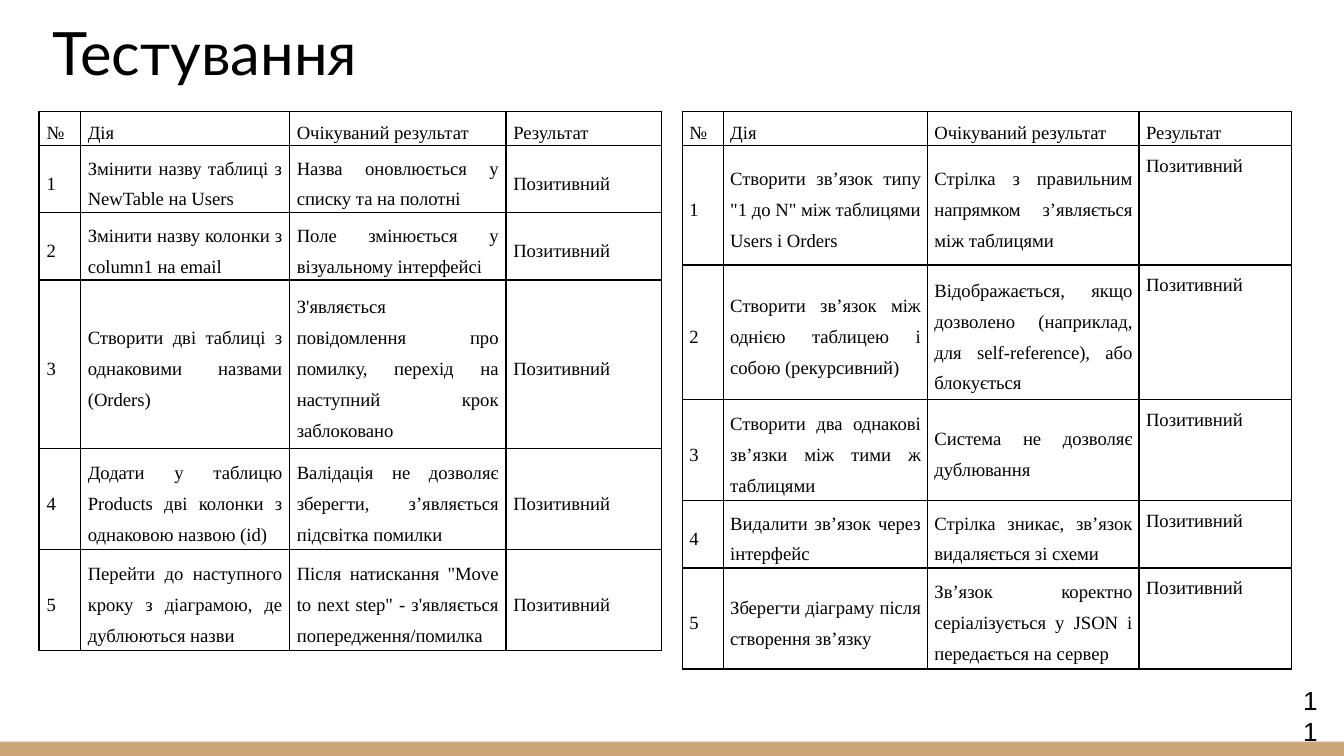
from lxml import etree
from pptx import Presentation
from pptx.dml.color import RGBColor
from pptx.enum.shapes import MSO_SHAPE
from pptx.enum.text import MSO_ANCHOR, PP_ALIGN
from pptx.oxml.ns import qn
from pptx.util import Cm, Pt

RECTANGLE = MSO_SHAPE.RECTANGLE
TOP, MIDDLE, BOTTOM = MSO_ANCHOR.TOP, MSO_ANCHOR.MIDDLE, MSO_ANCHOR.BOTTOM
LEFT, JUSTIFY = PP_ALIGN.LEFT, PP_ALIGN.JUSTIFY

COLOURS = {"page": "FFFFFF", "ink": "000000", "bar": "CCA677"}
HEADER = ["№", "Дія", "Очікуваний результат", "Результат"]
PASSED = "Позитивний"

EDITING_TESTS = [
    ("Змінити назву таблиці з NewTable на Users",
     "Назва оновлюється у списку та на полотні"),
    ("Змінити назву колонки з column1 на email",
     "Поле змінюється у візуальному інтерфейсі"),
    ("Створити дві таблиці з однаковими назвами (Orders)",
     "З'являється повідомлення про помилку, перехід на наступний крок заблоковано"),
    ("Додати у таблицю Products дві колонки з однаковою назвою (id)",
     "Валідація не дозволяє зберегти, з’являється підсвітка помилки"),
    ("Перейти до наступного кроку з діаграмою, де дублюються назви",
     "Після натискання \"Move to next step\" - з'являється попередження/помилка"),
]
RELATION_TESTS = [
    ("Створити зв’язок типу \"1 до N\" між таблицями Users і Orders",
     "Стрілка з правильним напрямком з’являється між таблицями"),
    ("Створити зв’язок між однією таблицею і собою (рекурсивний)",
     "Відображається, якщо дозволено (наприклад, для self-reference), або блокується"),
    ("Створити два однакові зв’язки між тими ж таблицями",
     "Система не дозволяє дублювання"),
    ("Видалити зв’язок через інтерфейс",
     "Стрілка зникає, зв’язок видаляється зі схеми"),
    ("Зберегти діаграму після створення зв’язку",
     "Зв’язок коректно серіалізується у JSON і передається на сервер"),
]


def colour(name):
    return RGBColor.from_string(COLOURS[name])


def write(frame, text, font="Arial", size=14, align=LEFT, spacing=1.0):
    para = frame.paragraphs[0]
    para.alignment = align
    para.line_spacing = spacing
    span = para.add_run()
    span.text = text
    span.font.name = font
    span.font.size = Pt(size)
    span.font.color.rgb = colour("ink")


class SlideBuilder:
    def __init__(self, page):
        self.page = page
        self.border_width = Pt(1)
        background = page.background.fill
        background.solid()
        background.fore_color.rgb = colour("page")

    def bar(self, left, top, width, height):
        shape = self.page.shapes.add_shape(
            RECTANGLE, Cm(left), Cm(top), Cm(width), Cm(height))
        shape.shadow.inherit = False
        shape.fill.solid()
        shape.fill.fore_color.rgb = colour("bar")
        shape.line.fill.background()

    def text(self, text, left, top, width, height, inset=0.25, anchor=TOP, **style):
        box = self.page.shapes.add_textbox(
            Cm(left), Cm(top), Cm(width), Cm(height))
        frame = box.text_frame
        frame.word_wrap = True
        frame.vertical_anchor = anchor
        frame.margin_left = frame.margin_right = Cm(0.25)
        frame.margin_top = frame.margin_bottom = Cm(inset)
        write(frame, text, **style)

    def border(self, cell):
        properties = cell._tc.get_or_add_tcPr()
        for side in ("lnL", "lnR", "lnT", "lnB"):
            line = etree.SubElement(
                properties, qn(f"a:{side}"), w=str(self.border_width))
            fill = etree.SubElement(line, qn("a:solidFill"))
            etree.SubElement(fill, qn("a:srgbClr"), val=COLOURS["ink"])

    def test_table(self, tests, left, top, widths, heights, inset, result_anchor):
        rows = [HEADER] + [
            [str(number), action, expected, PASSED]
            for number, (action, expected) in enumerate(tests, 1)]
        table = self.page.shapes.add_table(
            len(rows), len(HEADER), Cm(left), Cm(top),
            Cm(sum(widths)), Cm(sum(heights))).table
        table.first_row = table.horz_banding = False
        for column, width in zip(table.columns, widths):
            column.width = Cm(width)
        for row, height in zip(table.rows, heights):
            row.height = Cm(height)
        for row_index, values in enumerate(rows):
            for column_index, value in enumerate(values):
                cell = table.cell(row_index, column_index)
                is_result = row_index > 0 and value == PASSED
                cell.vertical_anchor = result_anchor if is_result else MIDDLE
                cell.margin_left = cell.margin_right = Cm(inset)
                cell.margin_top = cell.margin_bottom = 0
                self.border(cell)
                cell.fill.background()
                write(cell.text_frame, value, font="Times New Roman",
                      size=10, align=JUSTIFY, spacing=1.5)


def main():
    deck = Presentation()
    deck.slide_width, deck.slide_height = Cm(25.4), Cm(14.29)
    builder = SlideBuilder(deck.slides.add_slide(deck.slide_layouts[6]))
    builder.bar(0, 14.02, 25.4, 0.27)
    builder.text("Тестування", 0.74, -0.41, 23.67, 2.31,
                 anchor=BOTTOM, font="Lato", size=32)
    builder.text("11", 24.38, 12.8, 0.79, 0.86, inset=0.13)
    builder.test_table(
        EDITING_TESTS, 0.74, 2.11, [0.78, 3.95, 4.09, 2.94],
        [0.56, 1.19, 1.19, 2.95, 1.83, 1.83], 0.14, MIDDLE)
    builder.test_table(
        RELATION_TESTS, 12.9, 2.11, [0.77, 3.86, 4, 2.88],
        [0.51, 2.26, 2.26, 1.68, 1.09, 1.68], 0.13, TOP)
    deck.save("out.pptx")


if __name__ == "__main__":
    main()
